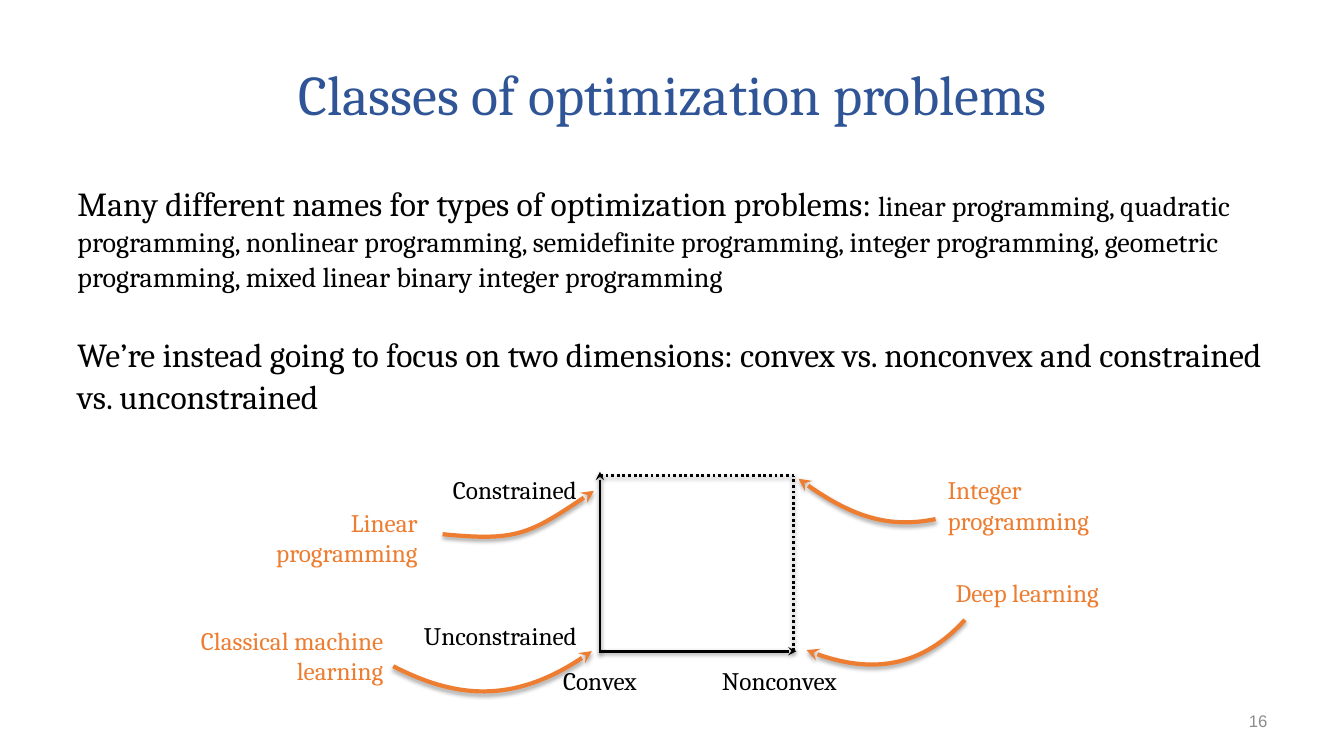
"""Build a slide that sorts optimization problems along two dimensions."""
from dataclasses import dataclass

from pptx import Presentation
from pptx.dml.color import RGBColor
from pptx.enum.dml import MSO_LINE
from pptx.enum.shapes import MSO_CONNECTOR
from pptx.enum.text import MSO_ANCHOR, PP_ALIGN
from pptx.oxml import parse_xml
from pptx.oxml.ns import nsdecls, qn
from pptx.util import Inches, Pt


@dataclass(frozen=True)
class Theme:
    serif: str = "Cambria"
    sans: str = "Arial"
    black: str = "000000"
    blue: str = "2F5597"
    orange: str = "ED7D31"
    gray: str = "8C8C8C"
    title: int = 40
    body: int = 24
    detail: int = 20
    label: int = 18
    small: int = 12


def write(para, text, size, color, font, align=PP_ALIGN.LEFT):
    para.alignment = align
    run = para.add_run()
    run.text = text
    run.font.size = Pt(size)
    run.font.name = font
    run.font.color.rgb = RGBColor.from_string(color)


class Board:
    def __init__(self, slide, theme):
        self.slide, self.theme = slide, theme

    def title(self, text, box):
        holder = self.slide.shapes.title
        holder.left, holder.top, holder.width, holder.height = map(Inches, box)
        frame = holder.text_frame
        frame.vertical_anchor = MSO_ANCHOR.MIDDLE
        theme = self.theme
        write(frame.paragraphs[0], text, theme.title, theme.blue, theme.serif, PP_ALIGN.CENTER)

    def frame(self, box, anchor=MSO_ANCHOR.TOP):
        frame = self.slide.shapes.add_textbox(*map(Inches, box)).text_frame
        frame.word_wrap = True
        frame.vertical_anchor = anchor
        return frame

    def body(self, groups, box):
        frame = self.frame(box)
        for index, runs in enumerate(groups):
            para = frame.add_paragraph() if index else frame.paragraphs[0]
            para.space_before = Pt(28 if index else 0)
            para.line_spacing = 1.04
            for text, size in runs:
                write(para, text, size, self.theme.black, self.theme.serif)

    def label(self, text, box, color, align):
        para = self.frame(box).paragraphs[0]
        write(para, text, self.theme.label, color, self.theme.serif, align)

    def number(self, text, box):
        para = self.frame(box, MSO_ANCHOR.MIDDLE).paragraphs[0]
        theme = self.theme
        write(para, text, theme.small, theme.gray, theme.sans, PP_ALIGN.RIGHT)

    def stroke(self, shape, color, width, dark, dist, arrow):
        shape.line.color.rgb = RGBColor.from_string(color)
        shape.line.width = Pt(width)
        props = shape._element.spPr
        if arrow:
            props.find(qn("a:ln")).append(
                parse_xml(f'<a:tailEnd {nsdecls("a")} type="stealth"/>'))
        props.append(parse_xml(
            f'<a:effectLst {nsdecls("a")}><a:outerShdw blurRad="{Pt(3.1)}" dist="{Pt(dist)}" '
            f'dir="5400000" rotWithShape="0"><a:srgbClr val="{self.theme.black}">'
            f'<a:alpha val="{dark * 1000}"/></a:srgbClr></a:outerShdw></a:effectLst>'))

    def line(self, start, end, dotted=False):
        shape = self.slide.shapes.add_connector(
            MSO_CONNECTOR.STRAIGHT, *map(Inches, start + end))
        if dotted:
            shape.line.dash_style = MSO_LINE.ROUND_DOT
        self.stroke(shape, self.theme.black, 2, 38, 1.6, not dotted)

    def curve(self, *points):
        start, *rest = [tuple(map(Inches, point)) for point in points]
        maker = self.slide.shapes.build_freeform(*start)
        maker.add_line_segments(rest, close=False)
        shape = maker.convert_to_shape()
        shape.fill.background()
        track = shape._element.spPr.find(".//" + qn("a:path"))
        bend = parse_xml(f'<a:cubicBezTo {nsdecls("a")}/>')
        for step in track.findall(qn("a:lnTo")):
            bend.append(step[0])
            track.remove(step)
        track.append(bend)
        self.stroke(shape, self.theme.orange, 3, 35, 1.8, True)


def main():
    deck = Presentation()
    deck.slide_width, deck.slide_height = Inches(13.33), Inches(7.5)
    theme = Theme()
    board = Board(deck.slides.add_slide(deck.slide_layouts[5]), theme)

    board.title("Classes of optimization problems", (0.67, 0.3, 12, 1.25))
    board.body([
        [("Many different names for types of optimization problems: ", theme.body),
         ("linear programming, quadratic programming, nonlinear programming, "
          "semidefinite programming, integer programming, geometric programming, "
          "mixed linear binary integer programming", theme.detail)],
        [("We’re instead going to focus on two dimensions: convex vs. nonconvex "
          "and constrained vs. unconstrained", theme.body)],
    ], (0.67, 1.75, 12, 4.95))
    board.number("16", (9.56, 6.95, 3.11, 0.4))

    left, right, top, base = 5.95, 7.87, 4.72, 6.46
    board.line((left, base + 0.02), (left, top - 0.04))
    board.line((left, base), (right + 0.03, base))
    board.line((left, top), (right + 0.03, top), dotted=True)
    board.line((right, base), (right, top), dotted=True)

    for text, x, y, align in [
        ("Constrained", 3.88, 4.66, PP_ALIGN.RIGHT),
        ("Unconstrained", 3.88, 6.1, PP_ALIGN.RIGHT),
        ("Convex", 4.98, 6.55, PP_ALIGN.CENTER),
        ("Nonconvex", 6.76, 6.55, PP_ALIGN.CENTER),
    ]:
        board.label(text, (x, y, 1.94, 0.4), theme.black, align)

    for text, box, align, points in [
        ("Linear programming", (2.3, 4.98, 1.94, 0.71), PP_ALIGN.RIGHT,
         [(4.39, 5.3), (5.11, 5.37), (5.26, 5.3), (5.89, 4.87)]),
        ("Classical machine learning", (1.77, 6.15, 2.13, 0.71), PP_ALIGN.RIGHT,
         [(3.9, 6.61), (4.52, 6.93), (5.14, 6.99), (5.87, 6.46)]),
        ("Deep learning", (9.38, 5.68, 1.94, 0.4), PP_ALIGN.LEFT,
         [(9.57, 6.15), (9.09, 6.68), (8.47, 6.65), (8, 6.45)]),
        ("Integer programming", (9.3, 4.66, 1.94, 0.71), PP_ALIGN.LEFT,
         [(9.28, 5.15), (8.8, 5.25), (8.38, 5.09), (7.92, 4.75)]),
    ]:
        board.label(text, box, theme.orange, align)
        board.curve(*points)

    deck.save("out.pptx")


if __name__ == "__main__":
    main()
